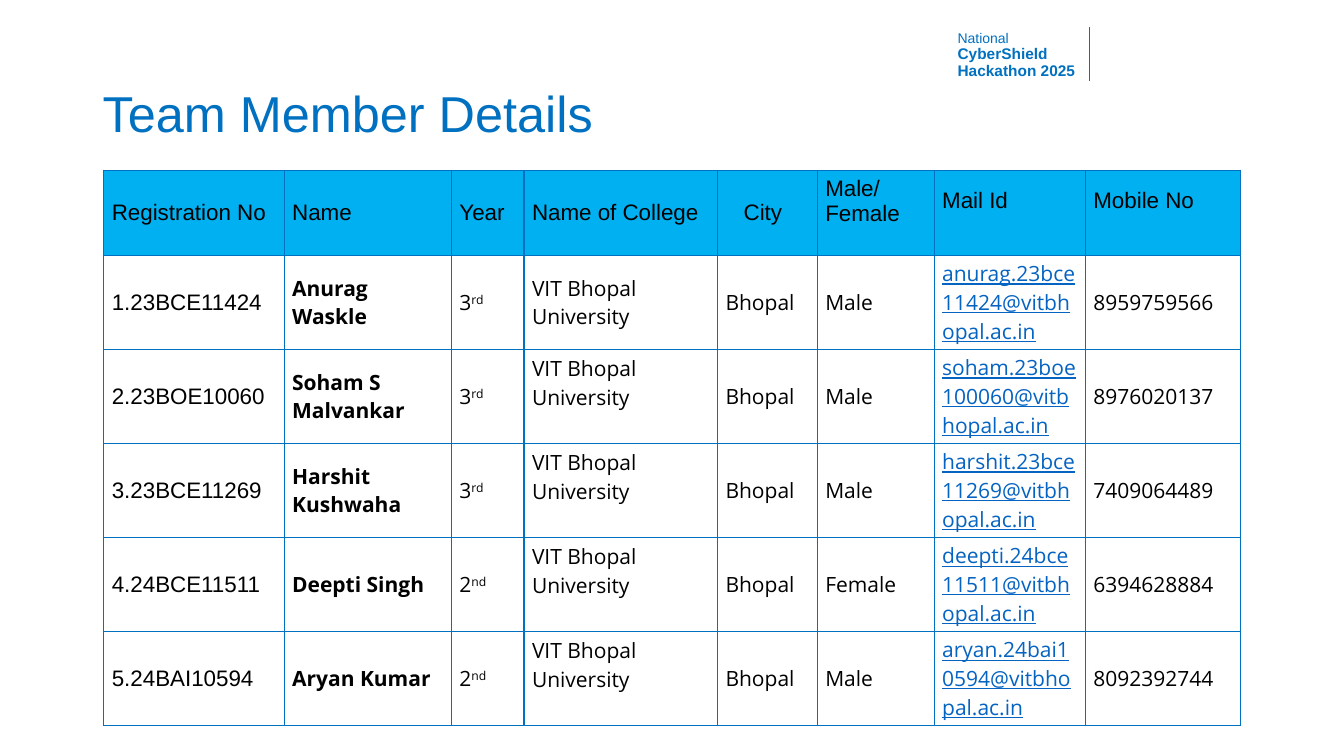
import dataclasses
import typing

import lxml.etree
import pptx
import pptx.dml.color
import pptx.enum.shapes
import pptx.enum.text
import pptx.oxml.ns
import pptx.util

BLUE = pptx.dml.color.RGBColor(0x00, 0x70, 0xC0)
SKY = pptx.dml.color.RGBColor(0x00, 0xB0, 0xF0)
BLACK = pptx.dml.color.RGBColor(0x00, 0x00, 0x00)
MAIL_BLUE = pptx.dml.color.RGBColor(0x05, 0x63, 0xC1)

HEADING_FONT = "Arial"
BODY_FONT = "Open Sans"
MIDDLE = pptx.enum.text.MSO_ANCHOR.MIDDLE

SLIDE_WIDTH = pptx.util.Inches(13.33)
SLIDE_HEIGHT = pptx.util.Inches(7.5)


@dataclasses.dataclass(frozen=True)
class Column:
    heading: str
    width: float  # percent of the slide width
    heading_lift: float = 0  # extra inset below, in inches
    heading_indent: float = 0  # extra inset on the left, in inches


@dataclasses.dataclass(frozen=True)
class Member:
    registration: str
    name: str
    year: str
    ordinal: str
    gender: str
    mail: str
    mobile: str
    college_lift: float = 0.27


COLUMNS = [
    Column("Registration No", 13.42),
    Column("Name", 12.45),
    Column("Year", 5.4),
    Column("Name of College", 14.4),
    Column("City", 7.42, heading_indent=0.18),
    Column("Male/\nFemale", 8.7, heading_lift=0.23),
    Column("Mail Id", 11.25, heading_lift=0.23),
    Column("Mobile No", 11.55, heading_lift=0.23),
]
MEMBERS = [
    Member("1.23BCE11424", "Anurag Waskle", "3", "rd", "Male",
           "anurag.23bce11424@vitbhopal.ac.in", "8959759566", college_lift=0),
    Member("2.23BOE10060", "Soham S Malvankar", "3", "rd", "Male",
           "soham.23boe100060@vitbhopal.ac.in", "8976020137"),
    Member("3.23BCE11269", "Harshit Kushwaha", "3", "rd", "Male",
           "harshit.23bce11269@vitbhopal.ac.in", "7409064489"),
    Member("4.24BCE11511", "Deepti Singh", "2", "nd", "Female",
           "deepti.24bce11511@vitbhopal.ac.in", "6394628884"),
    Member("5.24BAI10594", "Aryan Kumar", "2", "nd", "Male",
           "aryan.24bai10594@vitbhopal.ac.in", "8092392744"),
]
COLLEGE = "VIT Bhopal University"
CITY = "Bhopal"
HEADING_HEIGHT = 10.97  # percent of the slide height
MEMBER_HEIGHT = 12.44


def across(percent: float) -> int:
    return round(SLIDE_WIDTH * percent / 100)


def down(percent: float) -> int:
    return round(SLIDE_HEIGHT * percent / 100)


def write(paragraph: typing.Any, text: str, *, size: float = 15,
          font: str = BODY_FONT, color: pptx.dml.color.RGBColor = BLACK,
          bold: bool = False, underline: bool = False,
          raised: bool = False) -> None:
    """Add one formatted run to a paragraph."""
    run = paragraph.add_run()
    run.text = text
    run.font.size = pptx.util.Pt(size)
    run.font.name = font
    run.font.color.rgb = color
    run.font.bold = bold
    run.font.underline = underline
    if raised:
        run.font._element.set("baseline", "30000")


def add_text_frame(slide: typing.Any, left: float, top: float,
                   width: float, height: float) -> typing.Any:
    box = slide.shapes.add_textbox(across(left), down(top), across(width), down(height))
    box.text_frame.word_wrap = True
    box.text_frame.paragraphs[0].line_spacing = 0.9
    return box.text_frame


def add_event_mark(slide: typing.Any) -> None:
    frame = add_text_frame(slide, 71.25, 4.13, 23.55, 9.07)
    frame.margin_left = frame.margin_right = frame.margin_top = frame.margin_bottom = 0
    event = frame.paragraphs[0]
    write(event, "National", size=10, font=HEADING_FONT, color=BLUE)
    event.add_line_break()
    write(event, "CyberShield", size=11, font=HEADING_FONT, color=BLUE, bold=True)
    edition = frame.add_paragraph()
    edition.line_spacing = 0.9
    write(edition, "Hackathon 2025", size=11, font=HEADING_FONT, color=BLUE, bold=True)

    divider = slide.shapes.add_connector(
        pptx.enum.shapes.MSO_CONNECTOR.STRAIGHT,
        across(81.08), down(3.6), across(81.08), down(10.67))
    divider.line.color.rgb = BLUE
    divider.line.width = pptx.util.Pt(0.5)
    lxml.etree.SubElement(divider._element.spPr, pptx.oxml.ns.qn("a:effectLst"))


def prepare_cell(cell: typing.Any, fill: typing.Optional[pptx.dml.color.RGBColor] = None,
                 lift: float = 0, indent: float = 0) -> typing.Any:
    """Set borders, fill and insets; return the first paragraph."""
    properties = cell._tc.get_or_add_tcPr()
    for side in ("a:lnL", "a:lnR", "a:lnT", "a:lnB"):
        border = lxml.etree.SubElement(
            properties, pptx.oxml.ns.qn(side), w=str(pptx.util.Pt(1)))
        solid = lxml.etree.SubElement(border, pptx.oxml.ns.qn("a:solidFill"))
        lxml.etree.SubElement(solid, pptx.oxml.ns.qn("a:srgbClr"), val=str(BLUE))
    if fill is None:
        cell.fill.background()
    else:
        cell.fill.solid()
        cell.fill.fore_color.rgb = fill
    cell.vertical_anchor = MIDDLE
    cell.margin_left = pptx.util.Inches(0.08 + indent)
    cell.margin_right = pptx.util.Inches(0.08)
    cell.margin_top = pptx.util.Inches(0.04)
    cell.margin_bottom = pptx.util.Inches(0.04 + lift)
    return cell.text_frame.paragraphs[0]


def add_member_table(slide: typing.Any) -> None:
    width = sum(column.width for column in COLUMNS)
    height = HEADING_HEIGHT + MEMBER_HEIGHT * len(MEMBERS)
    table = slide.shapes.add_table(
        len(MEMBERS) + 1, len(COLUMNS),
        across(7.72), down(22.53), across(width), down(height)).table
    table.first_row = table.horz_banding = False

    # Headings
    table.rows[0].height = down(HEADING_HEIGHT)
    for index, column in enumerate(COLUMNS):
        table.columns[index].width = across(column.width)
        cell = table.cell(0, index)
        paragraph = prepare_cell(cell, SKY, column.heading_lift, column.heading_indent)
        for number, line in enumerate(column.heading.split("\n")):
            if number:
                paragraph = cell.text_frame.add_paragraph()
            write(paragraph, line, size=16, font=HEADING_FONT)

    # Members
    for row, member in enumerate(MEMBERS, start=1):
        table.rows[row].height = down(MEMBER_HEIGHT)
        lifts = [0, 0, 0, member.college_lift, 0, 0, 0, 0]
        registration, name, year, college, city, gender, mail, mobile = (
            prepare_cell(table.cell(row, index), lift=lift)
            for index, lift in enumerate(lifts))
        write(registration, member.registration, size=16, font=HEADING_FONT)
        write(name, member.name, bold=True)
        write(year, member.year)
        write(year, member.ordinal, raised=True)
        write(college, COLLEGE)
        write(city, CITY)
        write(gender, member.gender)
        write(mail, member.mail, color=MAIL_BLUE, underline=True)
        write(mobile, member.mobile)


def main() -> None:
    deck = pptx.Presentation()
    deck.slide_width, deck.slide_height = SLIDE_WIDTH, SLIDE_HEIGHT
    slide = deck.slides.add_slide(deck.slide_layouts[6])

    add_event_mark(slide)

    # Title
    title = add_text_frame(slide, 6.9, 10.8, 62.18, 9.07)
    title.vertical_anchor = MIDDLE
    write(title.paragraphs[0], "Team Member Details",
          size=36, font=HEADING_FONT, color=BLUE)

    add_member_table(slide)
    deck.save("out.pptx")


if __name__ == "__main__":
    main()
